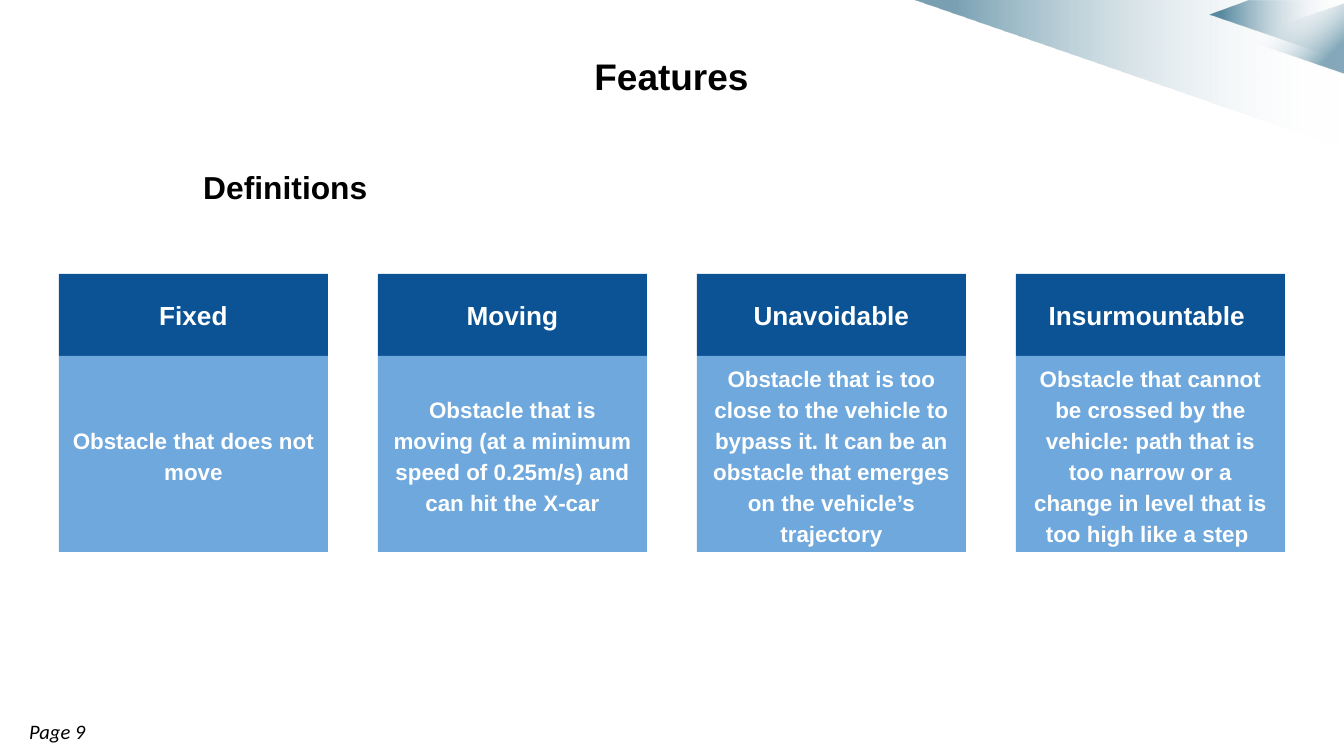
from pptx import Presentation
from pptx.dml.color import RGBColor
from pptx.enum.shapes import MSO_SHAPE
from pptx.enum.text import MSO_ANCHOR, PP_ALIGN
from pptx.oxml import parse_xml
from pptx.oxml.ns import nsdecls
from pptx.util import Pt

SCALE = 914400 * 10 / 1344
WHITE = RGBColor(0xFF, 0xFF, 0xFF)
BLACK = RGBColor(0x00, 0x00, 0x00)
TEAL = RGBColor(0x00, 0x4D, 0x6F)
NAVY = RGBColor(0x0B, 0x53, 0x94)
SKY = RGBColor(0x6F, 0xA8, 0xDC)

CARD_LEFT, CARD_TOP, CARD_STEP = 59, 274, 319
CARD_WIDTH, HEAD_HEIGHT, BODY_HEIGHT = 269, 82, 196
CARDS = [
    ("Fixed", "Obstacle that does not move"),
    ("Moving", "Obstacle that is moving (at a minimum speed of 0.25m/s) and can hit the X-car"),
    ("Unavoidable", "Obstacle that is too close to the vehicle to bypass it. "
     "It can be an obstacle that emerges on the vehicle’s trajectory"),
    ("Insurmountable ", "Obstacle that cannot be crossed by the vehicle: path that is "
     "too narrow or a change in level that is too high like a step "),
]


def px(*lengths):
    """Turn pixel lengths into EMU."""
    return [round(n * SCALE) for n in lengths]


def write(s, text, size, color, font="Arial", bold=True, italic=False,
          align=PP_ALIGN.LEFT, spacing=1.0, anchor=MSO_ANCHOR.TOP):
    """Put one formatted paragraph into a shape."""
    tf = s.text_frame
    tf.word_wrap = True
    tf.vertical_anchor = anchor
    tf.text = text
    p = tf.paragraphs[0]
    p.alignment = align
    p.line_spacing = spacing
    f = p.runs[0].font
    f.name, f.size, f.bold, f.italic = font, Pt(size), bold, italic
    f.color.rgb = color


def add_text(slide, box, text, size, **style):
    """Add a text box with black text."""
    write(slide.shapes.add_textbox(*px(*box)), text, size, BLACK, **style)


def add_panel(group, box, color, text, size, spacing):
    """Add a filled rectangle with centred white text."""
    s = group.shapes.add_shape(MSO_SHAPE.RECTANGLE, *px(*box))
    s.shadow.inherit = False
    s.fill.solid()
    s.fill.fore_color.rgb = color
    s.line.fill.background()
    tf = s.text_frame
    tf.margin_top = tf.margin_bottom = tf.margin_left
    write(s, text, size, WHITE, align=PP_ALIGN.CENTER, spacing=spacing,
          anchor=MSO_ANCHOR.MIDDLE)


def add_card(slide, x, heading, body):
    """Add a heading panel above its definition panel."""
    group = slide.shapes.add_group_shape()
    add_panel(group, (x, CARD_TOP, CARD_WIDTH, HEAD_HEIGHT), NAVY, heading, 14, 1.0)
    add_panel(group, (x, CARD_TOP + HEAD_HEIGHT, CARD_WIDTH, BODY_HEIGHT),
              SKY, body, 12, 1.15)


def fade(s, angle, clear_to, tint_from, opacity):
    """Fill a shape with a gradient from clear white to translucent teal."""
    s.shadow.inherit = False
    s.line.fill.background()
    stops = [(0, WHITE, 0), (clear_to, WHITE, 0),
             (tint_from, TEAL, opacity), (100, TEAL, opacity)]
    gs = "".join(
        f'<a:gs pos="{pos * 1000}"><a:srgbClr val="{color}">'
        f'<a:alpha val="{alpha * 1000}"/></a:srgbClr></a:gs>'
        for pos, color, alpha in stops)
    s._element.spPr.insert(2, parse_xml(
        f'<a:gradFill {nsdecls("a")} rotWithShape="1"><a:gsLst>{gs}</a:gsLst>'
        f'<a:lin ang="{angle * 60000}" scaled="0"/></a:gradFill>'))


def add_ray(slide, points, opacity):
    """Add a polygon that fades out to the right."""
    builder = slide.shapes.build_freeform(*points[0], scale=SCALE)
    builder.add_line_segments(points[1:], close=True)
    fade(builder.convert_to_shape(), 180, 1, 91, opacity)


def add_corner(slide):
    """Add the decoration in the top right corner."""
    add_ray(slide, [(913, 0), (1344, 0), (1343, 148)], 53)
    add_ray(slide, [(1210, 15), (1249, 1), (1344, 1), (1344, 60)], 63)
    s = slide.shapes.add_shape(MSO_SHAPE.ISOSCELES_TRIANGLE, *px(1259, -12, 69, 101))
    s.rotation = 270
    fade(s, 135, 27, 81, 48)


def main():
    """Build the slide and save it."""
    prs = Presentation()
    prs.slide_width, prs.slide_height = px(1344, 756)
    slide = prs.slides.add_slide(prs.slide_layouts[6])
    add_corner(slide)
    add_text(slide, (16, 712, 360, 39), "Page 9", 11, font="Calibri",
             bold=False, italic=True)
    add_text(slide, (333, 40, 677, 47), "Features", 19.8,
             align=PP_ALIGN.CENTER, spacing=1.15)
    for i, (heading, body) in enumerate(CARDS):
        add_card(slide, CARD_LEFT + i * CARD_STEP, heading, body)
    add_text(slide, (190, 144, 1074, 67), "Definitions", 17, spacing=1.5,
             anchor=MSO_ANCHOR.MIDDLE)
    prs.save("out.pptx")


if __name__ == "__main__":
    main()
